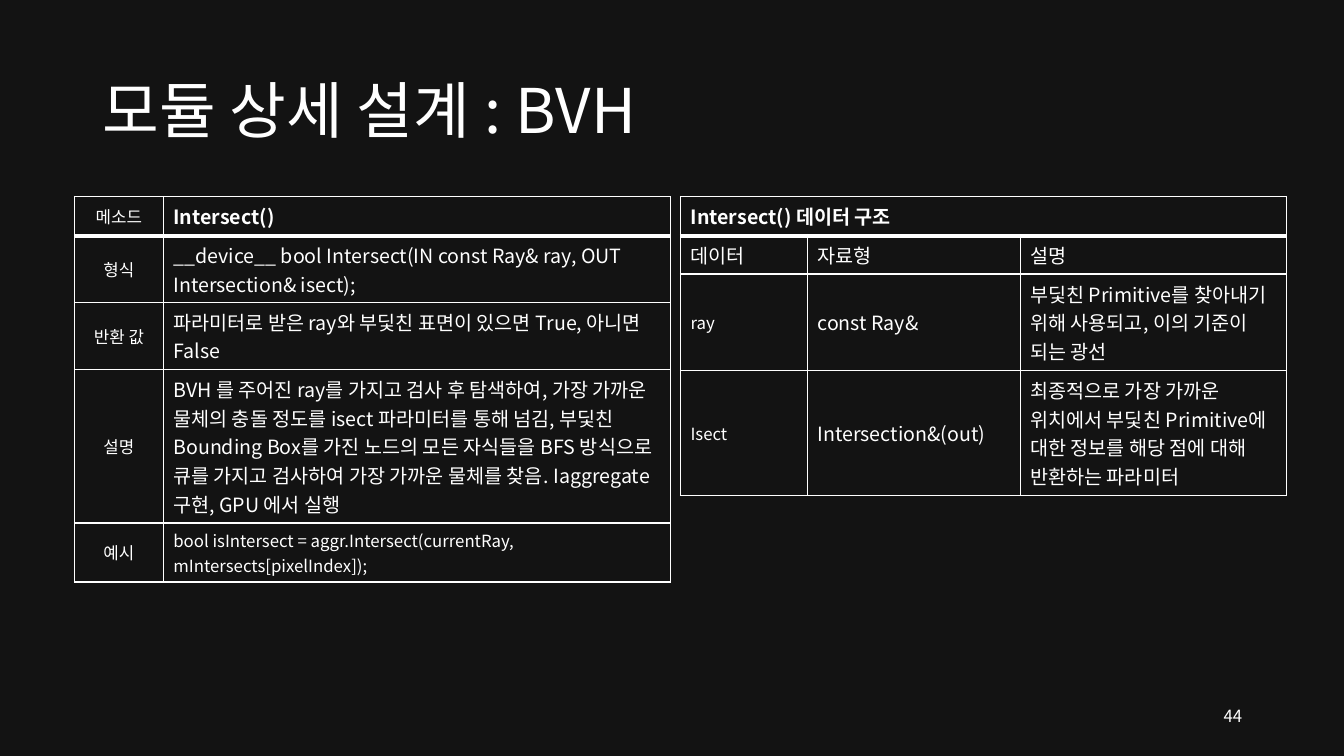
from lxml.etree import SubElement, fromstring
from pptx import Presentation
from pptx.dml.color import RGBColor as RGB
from pptx.enum.text import MSO_ANCHOR as Anchor, PP_ALIGN as Align
from pptx.oxml.ns import nsdecls, qn
from pptx.util import Inches, Pt

COLORS = {"back": "131313", "text": "FFFFFF", "line": "FFFFFF"}
FONT = "Noto Sans CJK KR"

METHOD_ROWS = [
    ("메소드", "Intersect()"),
    ("형식", "__device__ bool Intersect(IN const Ray& ray, OUT Intersection& isect);"),
    ("반환 값", "파라미터로 받은 ray와 부딫친 표면이 있으면 True, 아니면 False"),
    ("설명", "BVH 를 주어진 ray를 가지고 검사 후 탐색하여, 가장 가까운 물체의 충돌 정도를 "
             "isect 파라미터를 통해 넘김, 부딫친 Bounding Box를 가진 노드의 모든 자식들을 BFS "
             "방식으로 큐를 가지고 검사하여 가장 가까운 물체를 찾음. Iaggregate 구현, GPU 에서 실행"),
    ("예시", "bool isIntersect = aggr.Intersect(currentRay, mIntersects[pixelIndex]);"),
]
DATA_ROWS = [
    ("Intersect() 데이터 구조", "", ""),
    ("데이터", "자료형", "설명"),
    ("ray", "const Ray&", "부딫친 Primitive를 찾아내기 위해 사용되고, 이의 기준이 되는 광선"),
    ("Isect", "Intersection&(out)",
     "최종적으로 가장 가까운 위치에서 부딫친 Primitive에 대한 정보를 해당 점에 대해 반환하는 파라미터"),
]


class SlideBuilder:
    """Draws styled elements on one slide, with lengths in percent of its size."""

    def __init__(self, prs):
        self.prs = prs
        self.s = prs.slides.add_slide(prs.slide_layouts[6])
        fill = self.s.background.fill
        fill.solid()
        fill.fore_color.rgb = RGB.from_string(COLORS["back"])

    def x(self, share):
        return round(self.prs.slide_width * share / 100)

    def y(self, share):
        return round(self.prs.slide_height * share / 100)

    def set_text(self, tf, text, size, align=Align.LEFT, bold=False, spacing=None):
        tf.text = text
        p = tf.paragraphs[0]
        p.alignment = align
        p.line_spacing = spacing
        for r in p.runs:
            r.font.size, r.font.bold, r.font.name = Pt(size), bold, FONT
            r.font.color.rgb = RGB.from_string(COLORS["text"])
            SubElement(r._r.get_or_add_rPr(), qn("a:ea"), typeface=FONT)

    def text(self, left, top, width, height, text, size, **style):
        sp = self.s.shapes.add_textbox(self.x(left), self.y(top), self.x(width), self.y(height))
        tf = sp.text_frame
        tf.word_wrap = True
        tf.vertical_anchor = Anchor.MIDDLE
        self.set_text(tf, text, size, **style)

    def borders(self, cell, top, bottom):
        tcPr = cell._tc.get_or_add_tcPr()
        for i, (side, width) in enumerate(zip("LRTB", (1, 1, top, bottom))):
            tcPr.insert(i, fromstring(
                f'<a:ln{side} {nsdecls("a")} w="{int(Pt(width))}"><a:solidFill>'
                f'<a:srgbClr val="{COLORS["line"]}"/></a:solidFill></a:ln{side}>'))

    def table(self, left, top, cols, rows, texts, rules, style):
        frame = self.s.shapes.add_table(len(rows), len(cols), self.x(left), self.y(top),
                                        self.x(sum(cols)), self.y(sum(rows)))
        table = frame.table
        table.first_row = table.horz_banding = False
        for column, width in zip(table.columns, cols):
            column.width = self.x(width)
        for i, (row, height) in enumerate(zip(table.rows, rows)):
            row.height = self.y(height)
            for j, cell in enumerate(row.cells):
                cell.fill.solid()
                cell.fill.fore_color.rgb = RGB.from_string(COLORS["back"])
                cell.vertical_anchor = Anchor.MIDDLE
                self.borders(cell, rules[i], rules[i + 1])
                if texts[i][j]:
                    self.set_text(cell.text_frame, texts[i][j], **style(i, j))
        return table


def method_style(row, col):
    if col == 0:
        return {"size": 12, "align": Align.CENTER}
    return {"size": 12 if row == 4 else 14, "bold": row == 0}


def data_style(row, col):
    return {"size": 12 if row > 1 and col == 0 else 14, "bold": row == 0}


def main():
    prs = Presentation()
    prs.slide_width, prs.slide_height = Inches(13.33), Inches(7.5)
    s = SlideBuilder(prs)
    s.text(6.9, 5.33, 86.25, 19.33, "모듈 상세 설계 : BVH", 44, spacing=0.9)
    s.text(70.67, 92, 22.5, 5.33, "44", 12, align=Align.RIGHT)
    s.table(5.55, 26, [6.6, 37.73], [5.2, 8.8, 8.9, 20.3, 7.8],
            METHOD_ROWS, [1, 3, 1, 1, 1, 1], method_style)
    data = s.table(50.63, 26, [9.45, 15.83, 19.8], [5.2, 5.1, 12.7, 16.5],
                   DATA_ROWS, [1, 3, 1.5, 1, 1], data_style)
    data.cell(0, 0).merge(data.cell(0, 2))
    prs.save("out.pptx")


if __name__ == "__main__":
    main()
